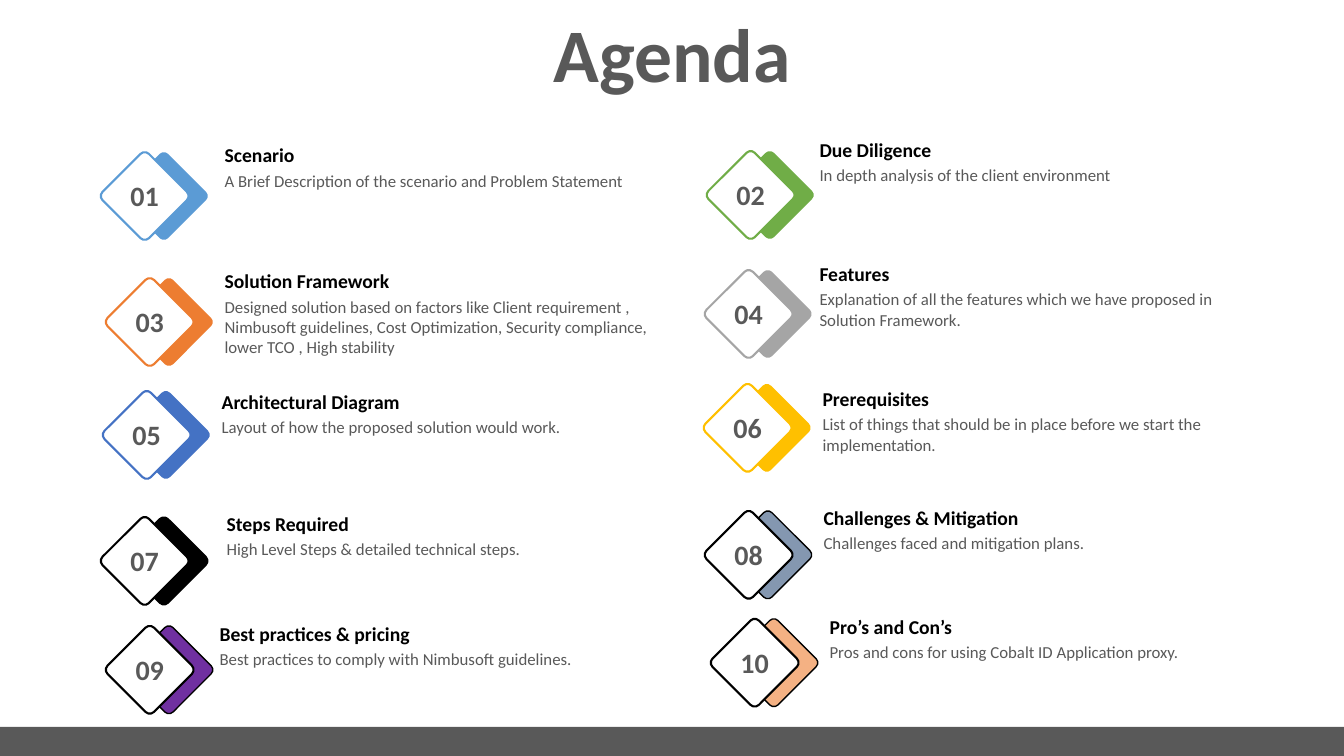
"""Build the agenda slide: ten numbered topics in two columns."""
import pptx
import pptx.dml.color
import pptx.enum.shapes
import pptx.enum.text
import pptx.util

TITLE = "Agenda"
GREY, BLACK, WHITE = "595959", "000000", "FFFFFF"

# heading, description, badge colour, outline colour, badge nudge, text nudge
TOPICS = [
    ("Scenario", "A Brief Description of the scenario and Problem Statement",
     "5B9BD5", None, (0, 0), (0, 0)),
    ("Due Diligence", "In depth analysis of the client environment",
     "70AD47", None, (0.02, -0.01), (0, -0.05)),
    ("Solution Framework",
     "Designed solution based on factors like Client requirement , Nimbusoft guidelines, "
     "Cost Optimization, Security compliance, lower TCO , High stability",
     "ED7D31", None, (0.05, 0), (0, 0)),
    ("Features",
     "Explanation of all the features which we have proposed in Solution Framework.",
     "A5A5A5", None, (0, -0.08), (0, -0.07)),
    ("Architectural Diagram", "Layout of how the proposed solution would work.",
     "4472C4", None, (0.02, 0), (-0.03, 0)),
    ("Prerequisites",
     "List of things that should be in place before we start the implementation.",
     "FFC000", None, (-0.01, -0.07), (0.03, -0.03)),
    ("Steps Required", "High Level Steps & detailed technical steps.",
     "000000", BLACK, (0, 0), (0.02, 0)),
    ("Challenges & Mitigation", "Challenges faced and mitigation plans.",
     "8497B0", BLACK, (0, -0.06), (0.04, -0.06)),
    ("Best practices & pricing", "Best practices to comply with Nimbusoft guidelines.",
     "7030A0", BLACK, (0.05, 0), (-0.05, 0)),
    ("Pro’s and Con’s", "Pros and cons for using Cobalt ID Application proxy.",
     "F4B183", BLACK, (0.06, -0.07), (0.1, -0.07)),
]

SLIDE_W, SLIDE_H = 13.33, 7.5
BADGE_COLUMNS, BADGE_ROWS = (1.11, 7.1), (1.62, 2.87, 3.99, 5.24, 6.32)
TEXT_COLUMNS, TEXT_ROWS = (2.13, 8.03), (1.37, 2.62, 3.82, 5.03, 6.12)
DIAMOND, DIAMOND_SHIFT = 0.65, 0.19
TEXT_W, DESCRIPTION_DROP = 4.4, 0.27
BAR_H = 0.29

SHAPES = pptx.enum.shapes.MSO_SHAPE
ALIGN = pptx.enum.text.PP_ALIGN
AUTO_SIZE = pptx.enum.text.MSO_AUTO_SIZE


def rgb(hex_colour):
    """Turn a hex string into a colour."""
    return pptx.dml.color.RGBColor.from_string(hex_colour)


def inches(*lengths):
    """Convert lengths in inches to slide units."""
    return [pptx.util.Inches(length) for length in lengths]


def write(shape, text, size, colour, bold, align=None):
    """Put one formatted paragraph in a shape."""
    shape.text_frame.text = text
    paragraph = shape.text_frame.paragraphs[0]
    paragraph.alignment = align
    font = paragraph.runs[0].font
    font.name, font.size, font.bold = "Calibri", pptx.util.Pt(size), bold
    font.color.rgb = rgb(colour)
    return paragraph


def add_label(parent, box, text, size, colour, bold=False, align=None, wrap=True):
    """Add a text box that grows with its text."""
    label = parent.shapes.add_textbox(*inches(*box))
    label.text_frame.word_wrap = wrap
    label.text_frame.auto_size = AUTO_SIZE.SHAPE_TO_FIT_TEXT
    write(label, text, size, colour, bold, align)


def add_filled(parent, kind, box, fill, outline=None, width=1.0):
    """Add a flat shape with an optional outline."""
    shape = parent.shapes.add_shape(kind, *inches(*box))
    shape.shadow.inherit = False
    shape.fill.solid()
    shape.fill.fore_color.rgb = rgb(fill)
    if outline:
        shape.line.color.rgb = rgb(outline)
        shape.line.width = pptx.util.Pt(width)
    else:
        shape.line.fill.background()
    return shape


def add_badge(slide, left, top, number, colour, outline):
    """Add a numbered white diamond over a coloured one."""
    badge = slide.shapes.add_group_shape()
    for shift, fill, edge, width in ((DIAMOND_SHIFT, colour, outline, 1),
                                     (0, WHITE, outline or colour, 1.5)):
        diamond = add_filled(badge, SHAPES.ROUNDED_RECTANGLE,
                             (left + shift, top, DIAMOND, DIAMOND), fill, edge, width)
        diamond.adjustments[0] = 0.09
        diamond.rotation = 45
    add_label(badge, (left + 0.08, top + 0.1, 0.49, 0.44), f"{number:02d}", 20, GREY,
              bold=True, align=ALIGN.CENTER, wrap=False)


def add_topic(slide, left, top, heading, description):
    """Add a heading with its description below."""
    topic = slide.shapes.add_group_shape()
    add_label(topic, (left, top, TEXT_W, 0.34), heading, 14, BLACK, bold=True)
    add_label(topic, (left, top + DESCRIPTION_DROP, TEXT_W, 0.3), description, 12, GREY)


def add_title(slide):
    """Place and format the slide title."""
    title = slide.shapes.title
    title.left, title.top, title.width, title.height = inches(0, 0.15, SLIDE_W, 0.85)
    title.text_frame.auto_size = AUTO_SIZE.NONE
    title.text_frame.vertical_anchor = pptx.enum.text.MSO_ANCHOR.MIDDLE
    write(title, TITLE, 54, GREY, True, ALIGN.CENTER).line_spacing = 0.9


def main():
    """Build and save the slide."""
    deck = pptx.Presentation()
    deck.slide_width, deck.slide_height = inches(SLIDE_W, SLIDE_H)
    slide = deck.slides.add_slide(deck.slide_layouts[5])
    add_title(slide)
    add_filled(slide, SHAPES.RECTANGLE, (0, SLIDE_H - BAR_H, SLIDE_W, BAR_H), GREY)
    for index, topic in enumerate(TOPICS):
        heading, description, colour, outline, badge_nudge, text_nudge = topic
        row, column = divmod(index, 2)
        add_badge(slide, BADGE_COLUMNS[column] + badge_nudge[0],
                  BADGE_ROWS[row] + badge_nudge[1], index + 1, colour, outline)
        add_topic(slide, TEXT_COLUMNS[column] + text_nudge[0],
                  TEXT_ROWS[row] + text_nudge[1], heading, description)
    deck.save("out.pptx")


if __name__ == "__main__":
    main()
